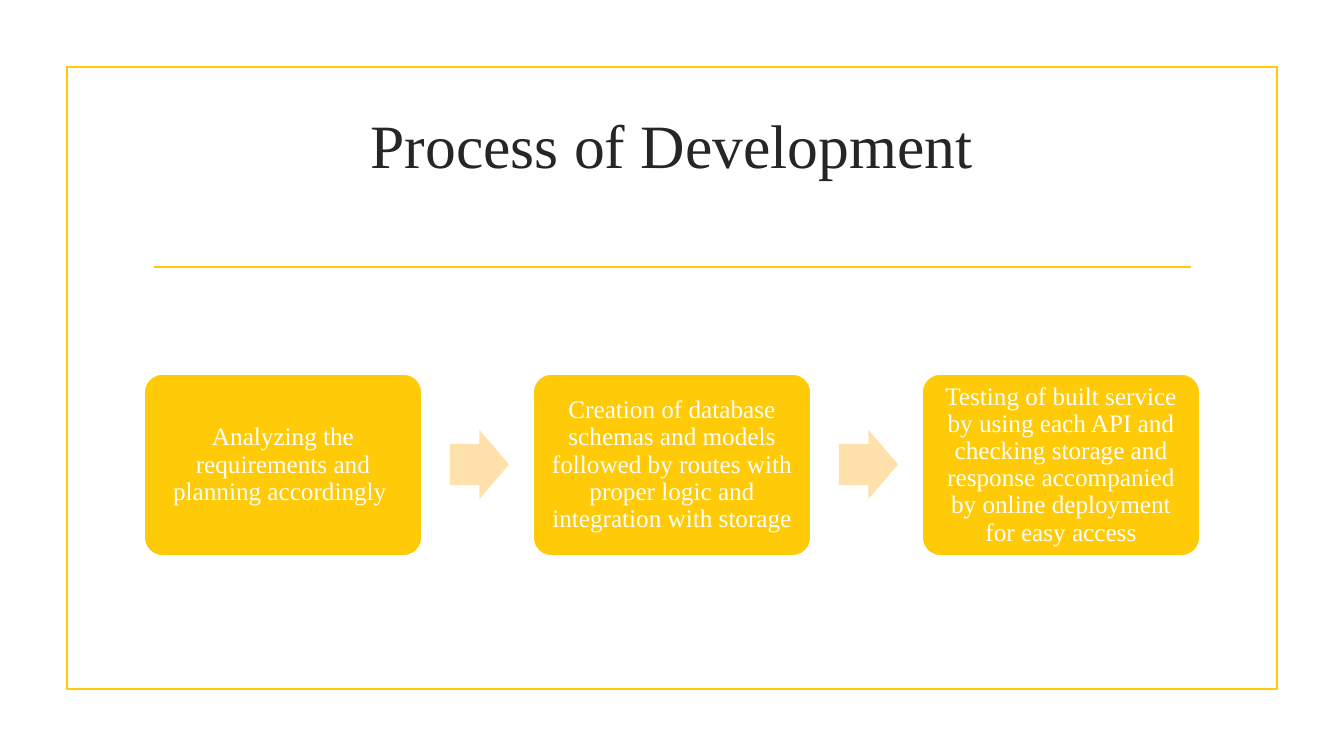
"""Build the "Process of Development" slide."""
from dataclasses import dataclass

from lxml.etree import SubElement
from pptx import Presentation
from pptx.dml.color import RGBColor
from pptx.enum.shapes import MSO_CONNECTOR as Connector
from pptx.enum.shapes import MSO_SHAPE as Shape
from pptx.enum.text import MSO_ANCHOR as Anchor
from pptx.enum.text import PP_ALIGN as Align
from pptx.oxml.ns import qn
from pptx.util import Inches, Pt


@dataclass(frozen=True)
class Theme:
    """Colours, type sizes and line width of the slide."""
    font: str = "Times New Roman"
    gold: str = "FFCA08"
    pale_gold: str = "FFE1AB"
    white: str = "FFFFFF"
    ink: str = "262626"
    title_size: int = 44
    step_size: int = 18
    line_width: float = 1.25


THEME = Theme()
PX_PER_INCH = 100.8
STEPS = (
    "Analyzing the requirements and planning accordingly ",
    "Creation of database schemas and models followed by routes with "
    "proper logic and integration with storage",
    "Testing of built service by using each API and checking storage and "
    "response accompanied by online deployment for easy access",
)
STEP_LEFT, STEP_TOP, STEP_WIDTH, STEP_HEIGHT = 144, 374, 278, 182
STEP_PITCH = 389
ARROW_OFFSET, ARROW_WIDTH, ARROW_HEIGHT = 306, 59, 69


def px(length):
    """Turn pixels into EMU."""
    return Inches(length / PX_PER_INCH)


def color(value):
    """Turn a hex string into a colour."""
    return RGBColor.from_string(value)


def write_text(shape, text, size, ink, inset=10, line_spacing=1.0):
    """Write one centred paragraph into a shape."""
    frame = shape.text_frame
    frame.word_wrap = True
    frame.vertical_anchor = Anchor.MIDDLE
    frame.margin_left = frame.margin_right = px(inset)
    frame.margin_top = frame.margin_bottom = px(min(inset, 7))
    paragraph = frame.paragraphs[0]
    paragraph.alignment = Align.CENTER
    paragraph.line_spacing = line_spacing
    run = paragraph.add_run()
    run.text = text
    run.font.name = THEME.font
    run.font.size = Pt(size)
    run.font.color.rgb = color(ink)


def add_block(slide, kind, left, top, width, height, fill=None, line=None,
              adjustments=()):
    """Add a preset shape with optional fill and outline."""
    shape = slide.shapes.add_shape(
        kind, px(left), px(top), px(width), px(height))
    shape.shadow.inherit = False
    if fill:
        shape.fill.solid()
        shape.fill.fore_color.rgb = color(fill)
    else:
        shape.fill.background()
    if line:
        shape.line.color.rgb = color(line)
        shape.line.width = Pt(THEME.line_width)
    else:
        shape.line.fill.background()
    for index, value in enumerate(adjustments):
        shape.adjustments[index] = value
    return shape


def add_rule(slide, left, right, top):
    """Add the horizontal line under the title."""
    rule = slide.shapes.add_connector(
        Connector.STRAIGHT, px(left), px(top), px(right), px(top))
    rule.line.color.rgb = color(THEME.gold)
    rule.line.width = Pt(THEME.line_width)
    SubElement(rule._element.spPr, qn("a:effectLst"))


def add_title(slide, text):
    """Add the slide title."""
    title = slide.shapes.add_textbox(px(143), px(72), px(1058), px(144))
    write_text(title, text, size=THEME.title_size, ink=THEME.ink)


def add_step(slide, left, text):
    """Add one rounded step card."""
    card = add_block(slide, Shape.ROUNDED_RECTANGLE, left, STEP_TOP,
                     STEP_WIDTH, STEP_HEIGHT, fill=THEME.gold,
                     line=THEME.white, adjustments=(0.1,))
    write_text(card, text, size=THEME.step_size, ink=THEME.white,
               inset=7, line_spacing=0.9)


def add_arrow(slide, left):
    """Add the block arrow that leads to the next step."""
    top = STEP_TOP + (STEP_HEIGHT - ARROW_HEIGHT) // 2
    add_block(slide, Shape.RIGHT_ARROW, left, top, ARROW_WIDTH, ARROW_HEIGHT,
              fill=THEME.pale_gold, adjustments=(0.6, 0.5))


def main():
    """Build and save the slide."""
    presentation = Presentation()
    presentation.slide_width = px(1344)
    presentation.slide_height = px(756)
    slide = presentation.slides.add_slide(presentation.slide_layouts[6])
    add_block(slide, Shape.RECTANGLE, 67, 67, 1210, 622, line=THEME.gold)
    add_rule(slide, left=154, right=1191, top=267)
    add_title(slide, "Process of Development")
    for index, text in enumerate(STEPS):
        left = STEP_LEFT + index * STEP_PITCH
        add_step(slide, left, text)
        if index < len(STEPS) - 1:
            add_arrow(slide, left + ARROW_OFFSET)
    presentation.save("out.pptx")


if __name__ == "__main__":
    main()
